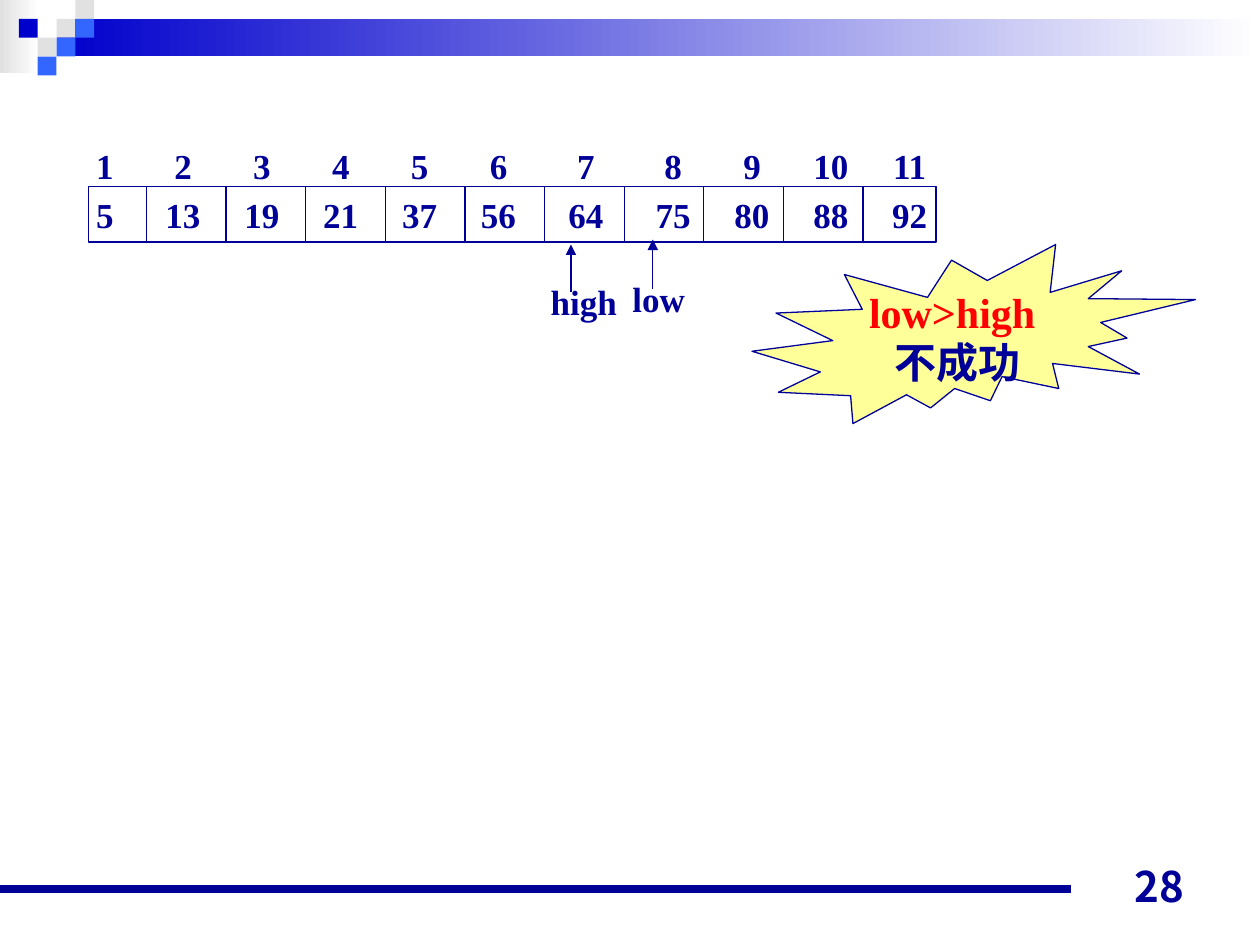
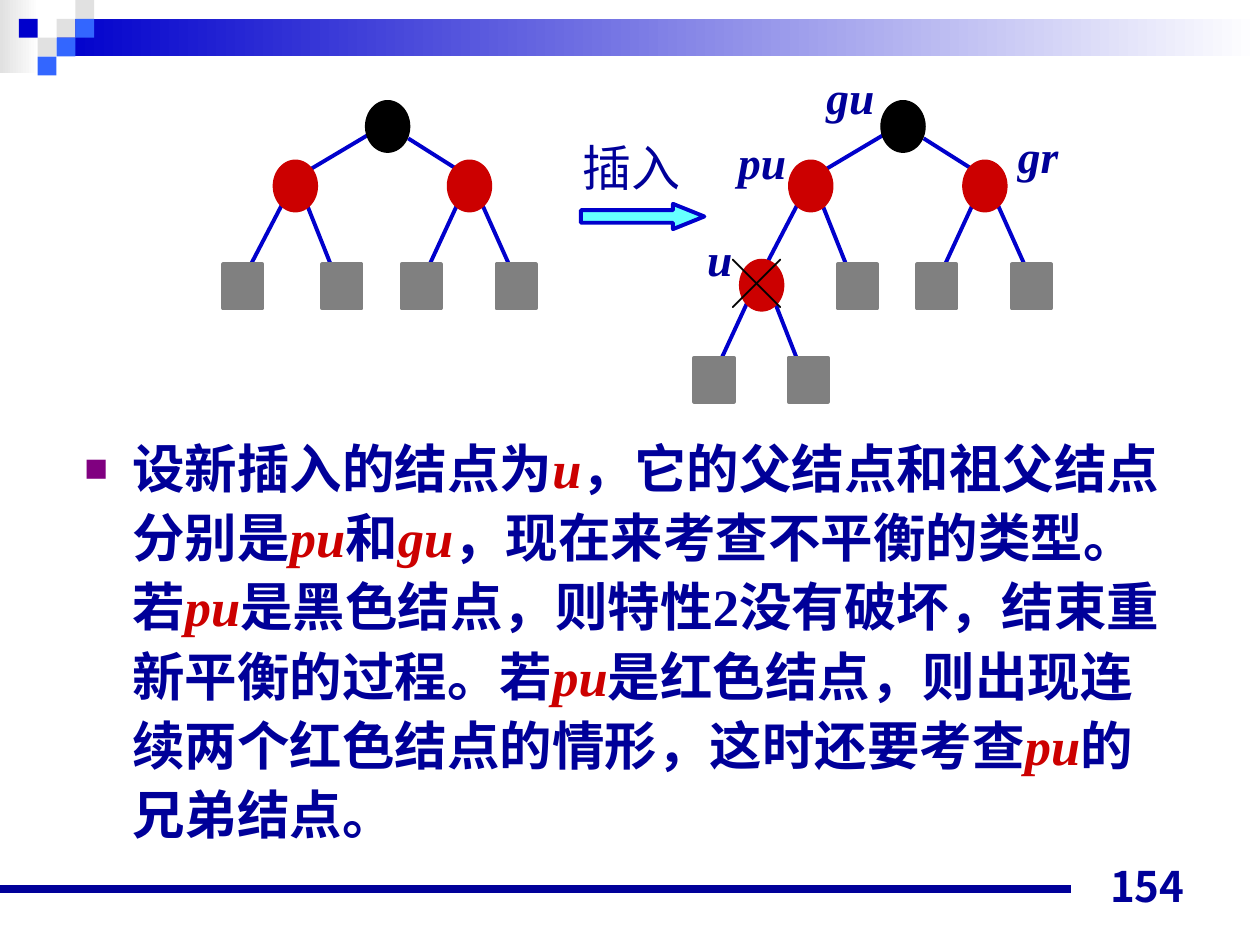
from dataclasses import dataclass
from itertools import accumulate
from typing import NamedTuple, Optional

from lxml import etree
from pptx import Presentation
from pptx.dml.color import RGBColor
from pptx.enum.shapes import MSO_CONNECTOR, MSO_SHAPE
from pptx.enum.text import MSO_ANCHOR, MSO_AUTO_SIZE, PP_ALIGN
from pptx.oxml.ns import qn
from pptx.util import Cm, Pt

RECT, OVAL = MSO_SHAPE.RECTANGLE, MSO_SHAPE.OVAL
ARROW, BURST = MSO_SHAPE.RIGHT_ARROW, MSO_SHAPE.EXPLOSION2
STRAIGHT = MSO_CONNECTOR.STRAIGHT
LEFT, CENTER, RIGHT = PP_ALIGN.LEFT, PP_ALIGN.CENTER, PP_ALIGN.RIGHT
TOP, MIDDLE, BOTTOM = MSO_ANCHOR.TOP, MSO_ANCHOR.MIDDLE, MSO_ANCHOR.BOTTOM
BODY_LAYOUT, BLANK_LAYOUT = 1, 6


@dataclass(frozen=True)
class Theme:
    navy: str = "000099"
    blue: str = "0000CC"
    sky: str = "3366FF"
    pale: str = "E1E1E1"
    white: str = "FFFFFF"
    black: str = "000000"
    red: str = "CC0000"
    alert: str = "FF0000"
    gray: str = "808080"
    yellow: str = "FFFF99"
    cyan: str = "66FFFF"
    bullet: str = "800080"
    serif: str = "Times New Roman"
    sans: str = "Arial"
    cjk: str = "Noto Sans CJK SC"
    number: str = "Noto Sans CJK JP"
    cell_size: float = 20
    callout_size: float = 24
    callout_leading: float = 28.6
    node_size: float = 26
    step_size: float = 28
    step_leading: float = 35
    body_size: float = 30
    body_leading: float = 39.6
    thin: float = 0.75
    edge: float = 2.25
    rule: float = 4.5


T = Theme()


class Box(NamedTuple):
    x: float
    y: float
    w: float
    h: float


class Edge(NamedTuple):
    x1: float
    y1: float
    x2: float
    y2: float


class Square(NamedTuple):
    col: int
    row: int
    color: str


class Pointer(NamedTuple):
    text: str
    x: float
    tail: float
    tip: float
    width: float


class Node(NamedTuple):
    x: float
    y: float
    color: str


@dataclass(frozen=True)
class Style:
    size: float
    color: str = T.navy
    font: str = T.serif
    bold: bool = True
    italic: bool = False


CELL = Style(T.cell_size)
NODE = Style(T.node_size, italic=True)
BODY = Style(T.body_size)
TERM = Style(T.body_size, T.red, italic=True)
PAGE = Style(T.callout_size, font=T.number)


class Label(NamedTuple):
    text: str
    box: Box
    style: Style = NODE
    leading: Optional[float] = None


TILE = 0.38
TILES = [Square(3, 1, T.pale), Square(4, 0, T.pale), Square(4, 1, T.sky), Square(2, 2, T.pale),
         Square(1, 1, T.blue), Square(3, 2, T.sky), Square(2, 3, T.sky)]

KEYS = [5, 13, 19, 21, 37, 56, 64, 75, 80, 88, 92]
ARRAY = Box(1.78, 3.76, 17.09, 1.12)
INDEX = Box(1.68, 2.79, 17.3, 1.12)
TEXT_LEFT = 1.94
FIRST_DIVIDER, LAST_DIVIDER = 2.95, 17.4
TABS = list(accumulate([1.75] + [1.59] * 4 + [1.76] * 2 + [1.59] * 3))
POINTERS = [Pointer("low", 13.16, 5.82, 4.83, 1.55), Pointer("high", 11.51, 5.89, 4.93, 1.83)]

TREE_SHIFT = 10.39
TREE_EDGES = [Edge(5.89, 3.73, 5, 5.44), Edge(5.99, 3.63, 6.71, 5.44), Edge(9.4, 3.73, 8.61, 5.44),
              Edge(9.5, 3.63, 10.31, 5.44), Edge(7.42, 2.72, 5.89, 3.63), Edge(8.23, 2.79, 9.4, 3.53)]
TREE_NODES = [Node(7.37, 2.03, T.black), Node(5.51, 3.23, T.red), Node(9.02, 3.23, T.red)]
LEAF_Y = 5.33
LEAVES = [4.5, 6.5, 8.1, 10.01]
NEW_EDGES = [Edge(15.29, 5.61, 14.5, 7.32), Edge(15.39, 5.51, 16.1, 7.32)]
NEW_NODE = Node(14.91, 5.23, T.red)
NEW_LEAVES = [14, 15.9]
NEW_LEAF_Y = 7.21

LABELS = [
    Label("插入", Box(11.51, 2.59, 2.46, 1.45), Style(T.step_size, font=T.sans, bold=False), T.step_leading),
    Label("╳", Box(14.71, 4.93, 1.09, 1.45), Style(T.step_size, T.black, T.cjk, False), T.step_leading),
    Label("pu", Box(14.63, 2.57, 1.47, 1.37)),
    Label("gu", Box(16.41, 1.27, 1.47, 1.37)),
    Label("u", Box(14, 4.52, 1.02, 1.37)),
    Label("gr", Box(20.27, 2.46, 1.32, 1.37)),
]

BODY_RUNS = [
    ("设新插入的结点为", BODY), ("u", TERM), ("，它的父结点和祖父结点分别是", BODY), ("pu", TERM),
    ("和", BODY), ("gu", TERM), ("，现在来考查不平衡的类型。若", BODY), ("pu", TERM),
    ("是黑色结点，则特性2没有破坏，结束重新平衡的过程。若", BODY), ("pu", TERM),
    ("是红色结点，则出现连续两个红色结点的情形，这时还要考查", BODY), ("pu", TERM),
    ("的兄弟结点。", BODY),
]


def rgb(color: str) -> RGBColor:
    return RGBColor.from_string(color)


def emu(values) -> list:
    return [Cm(v) for v in values]


def add_run(p, text: str, style: Style) -> None:
    r = p.add_run()
    r.text = text
    f = r.font
    f.name, f.size, f.bold, f.italic = style.font, Pt(style.size), style.bold, style.italic
    f.color.rgb = rgb(style.color)
    latin = r.font._element.find(qn("a:latin"))
    ea = etree.Element(qn("a:ea"), typeface=T.cjk)
    latin.addnext(ea)


def set_frame(tf, wrap: bool = False, anchor=TOP) -> None:
    tf.word_wrap, tf.auto_size, tf.vertical_anchor = wrap, MSO_AUTO_SIZE.NONE, anchor
    tf.margin_left = tf.margin_right = Cm(0.25)
    tf.margin_top = tf.margin_bottom = Cm(0.13)


def set_paragraph(p, align, leading: Optional[float] = None) -> None:
    p.alignment, p.space_before = align, Pt(0)
    if leading:
        p.line_spacing = Pt(leading)


def add_shape(s, kind, box: Box, fill: Optional[str] = None, line: Optional[str] = None,
              width: float = T.thin):
    sp = s.shapes.add_shape(kind, *emu(box))
    sp.shadow.inherit = False
    if fill:
        sp.fill.solid()
        sp.fill.fore_color.rgb = rgb(fill)
    else:
        sp.fill.background()
    if line:
        sp.line.color.rgb, sp.line.width = rgb(line), Pt(width)
    else:
        sp.line.fill.background()
    return sp


def add_fade(s, box: Box, color: str):
    sp = add_shape(s, RECT, box)
    sp.fill.gradient()
    sp.fill.gradient_angle = 0
    for stop, c in zip(sp.fill.gradient_stops, (color, T.white)):
        stop.color.rgb = rgb(c)
    return sp


def add_line(s, edge: Edge, color: str, width: float, arrow: bool = False):
    cx = s.shapes.add_connector(STRAIGHT, *emu(edge))
    cx.line.color.rgb, cx.line.width = rgb(color), Pt(width)
    if arrow:
        etree.SubElement(cx.line._get_or_add_ln(), qn("a:tailEnd"), type="triangle")
    etree.SubElement(cx.element.spPr, qn("a:effectLst"))
    return cx


def add_text(s, text: str, box: Box, style: Style, align=LEFT, wrap: bool = False,
             anchor=TOP, leading: Optional[float] = None) -> None:
    tf = s.shapes.add_textbox(*emu(box)).text_frame
    set_frame(tf, wrap, anchor)
    set_paragraph(tf.paragraphs[0], align, leading)
    add_run(tf.paragraphs[0], text, style)


def decorate_master(prs, s) -> None:
    parts = [add_fade(s, Box(0, 0, 0.79, 1.47), T.pale),
             add_fade(s, Box(1.14, 0.38, 24.26, 0.76), T.blue)]
    parts += [add_shape(s, RECT, Box(t.col * TILE, t.row * TILE, TILE, TILE), t.color) for t in TILES]
    parts.append(add_line(s, Edge(0, 17.93, 21.59, 17.93), T.navy, T.rule))
    tree = prs.slide_master.shapes.element
    for number, part in enumerate(parts, 100):
        part.element.xpath(".//p:cNvPr")[0].set("id", str(number))
        tree.append(part.element)


def add_page_number(s, number: int) -> None:
    add_text(s, str(number), Box(18.21, 17.22, 5.92, 1.27), PAGE, RIGHT, True, BOTTOM)


def fill_row(sp, left: float, values, anchor) -> None:
    tf = sp.text_frame
    set_frame(tf, True, anchor)
    tf.margin_left, tf.margin_right = Cm(TEXT_LEFT - left), Cm(0)
    p = tf.paragraphs[0]
    tabs = etree.SubElement(p._p.get_or_add_pPr(), qn("a:tabLst"))
    for pos in TABS:
        etree.SubElement(tabs, qn("a:tab"), pos=str(int(Cm(pos))), algn="ctr")
    set_paragraph(p, LEFT)
    add_run(p, "\t".join(str(v) for v in values), CELL)


def build_search(s) -> None:
    fill_row(s.shapes.add_textbox(*emu(INDEX)), INDEX.x, range(1, len(KEYS) + 1), TOP)
    fill_row(add_shape(s, RECT, ARRAY, line=T.navy), ARRAY.x, KEYS, MIDDLE)
    dividers = len(KEYS) - 1
    step = (LAST_DIVIDER - FIRST_DIVIDER) / (dividers - 1)
    for i in range(dividers):
        x = FIRST_DIVIDER + i * step
        add_line(s, Edge(x, ARRAY.y, x, ARRAY.y + ARRAY.h), T.navy, T.thin)
    for ptr in POINTERS:
        add_line(s, Edge(ptr.x, ptr.tail, ptr.x, ptr.tip), T.navy, T.thin, True)
        add_text(s, ptr.text, Box(ptr.x - 0.66, ptr.tail - 0.36, ptr.width, 1.12), CELL)

    tf = add_shape(s, BURST, Box(15.16, 4.93, 8.94, 3.61), T.yellow, T.navy).text_frame
    set_frame(tf, anchor=MIDDLE)
    lines = [("low>high ", T.alert), ("不成功", T.navy)]
    for i, (text, color) in enumerate(lines):
        p = tf.add_paragraph() if i else tf.paragraphs[0]
        set_paragraph(p, CENTER, T.callout_leading)
        add_run(p, text, Style(T.callout_size, color))


def add_tree(s, edges, nodes, leaves, leaf_y: float, shift: float = 0) -> None:
    for e in edges:
        add_line(s, Edge(e.x1 + shift, e.y1, e.x2 + shift, e.y2), T.blue, T.edge)
    for n in nodes:
        add_shape(s, OVAL, Box(n.x + shift, n.y, 0.89, 1.04), n.color, n.color)
    for x in leaves:
        add_shape(s, RECT, Box(x + shift, leaf_y, 0.79, 0.89), T.gray, T.gray, T.edge)


def fill_body(sp) -> None:
    sp.left, sp.top, sp.width, sp.height = emu(Box(1.45, 8.53, 22.45, 8.89))
    set_frame(sp.text_frame, True)
    p = sp.text_frame.paragraphs[0]
    pPr = p._p.get_or_add_pPr()
    pPr.set("marL", str(int(Cm(0.97))))
    pPr.set("indent", str(int(Cm(-0.97))))
    etree.SubElement(etree.SubElement(pPr, qn("a:buClr")), qn("a:srgbClr"), val=T.bullet)
    etree.SubElement(pPr, qn("a:buSzPct"), val="75000")
    etree.SubElement(pPr, qn("a:buFont"), typeface=T.sans)
    etree.SubElement(pPr, qn("a:buChar"), char="■")
    set_paragraph(p, LEFT, T.body_leading)
    for text, style in BODY_RUNS:
        add_run(p, text, style)


def build_insertion(s) -> None:
    title = s.shapes.title.element
    title.getparent().remove(title)
    fill_body(s.placeholders[1])
    add_tree(s, TREE_EDGES, TREE_NODES, LEAVES, LEAF_Y)
    add_tree(s, TREE_EDGES, TREE_NODES, LEAVES[1:], LEAF_Y, TREE_SHIFT)
    add_tree(s, NEW_EDGES, [NEW_NODE], NEW_LEAVES, NEW_LEAF_Y)
    arrow = add_shape(s, ARROW, Box(11.71, 4.11, 2.49, 0.51), T.cyan, T.blue, T.edge)
    arrow.adjustments[0], arrow.adjustments[1] = 0.5, 1.24
    for lb in LABELS:
        add_text(s, lb.text, lb.box, lb.style, CENTER, leading=lb.leading)


def main() -> None:
    prs = Presentation()
    prs.slide_width, prs.slide_height = Cm(25.4), Cm(19.05)
    pages = [(BLANK_LAYOUT, build_search, 28), (BODY_LAYOUT, build_insertion, 154)]
    for layout, build, number in pages:
        s = prs.slides.add_slide(prs.slide_layouts[layout])
        build(s)
        add_page_number(s, number)
    decorate_master(prs, prs.slides[0])
    prs.save("out.pptx")


if __name__ == "__main__":
    main()
